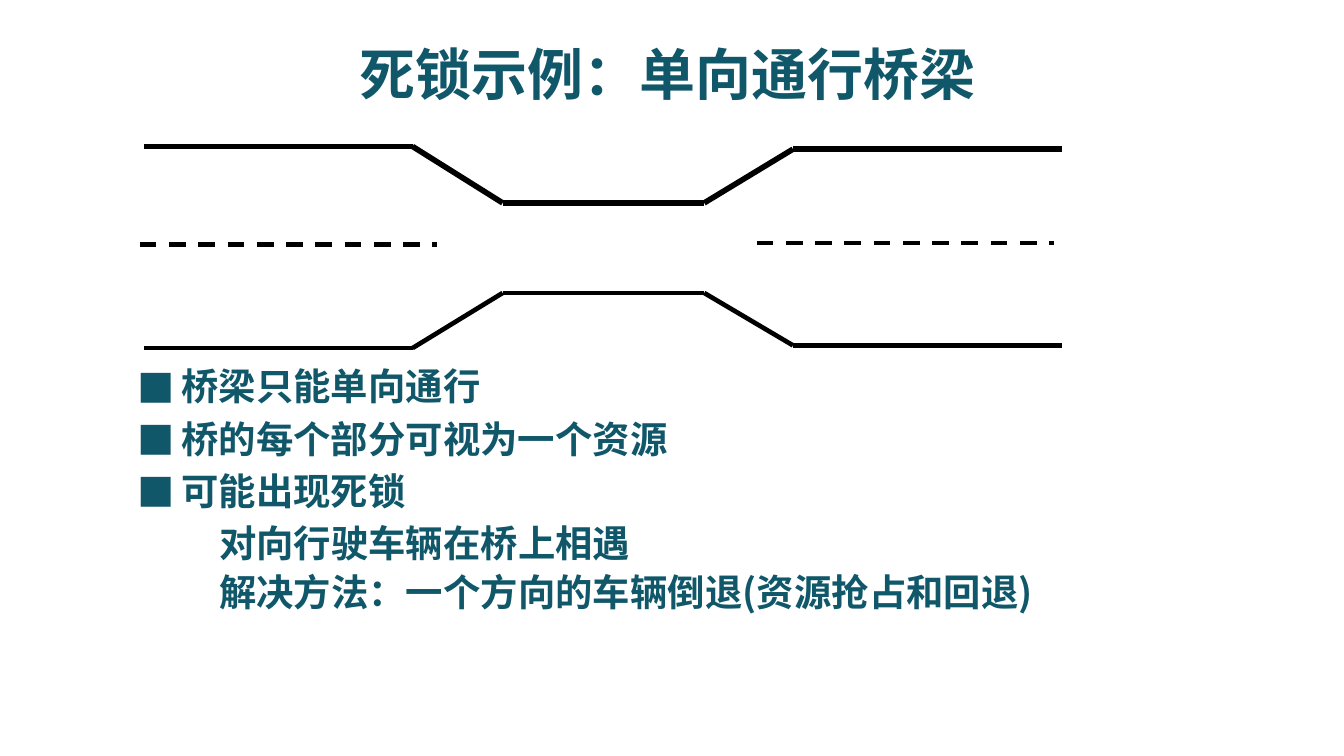
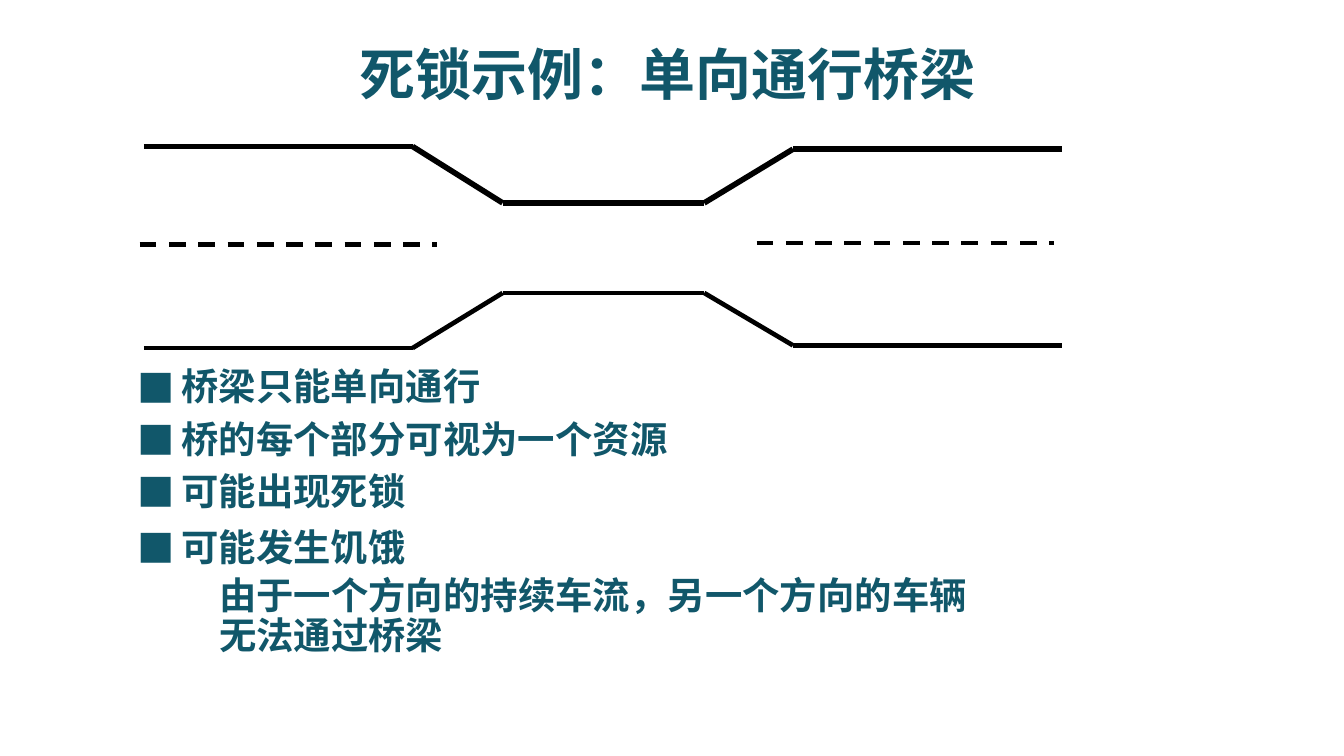
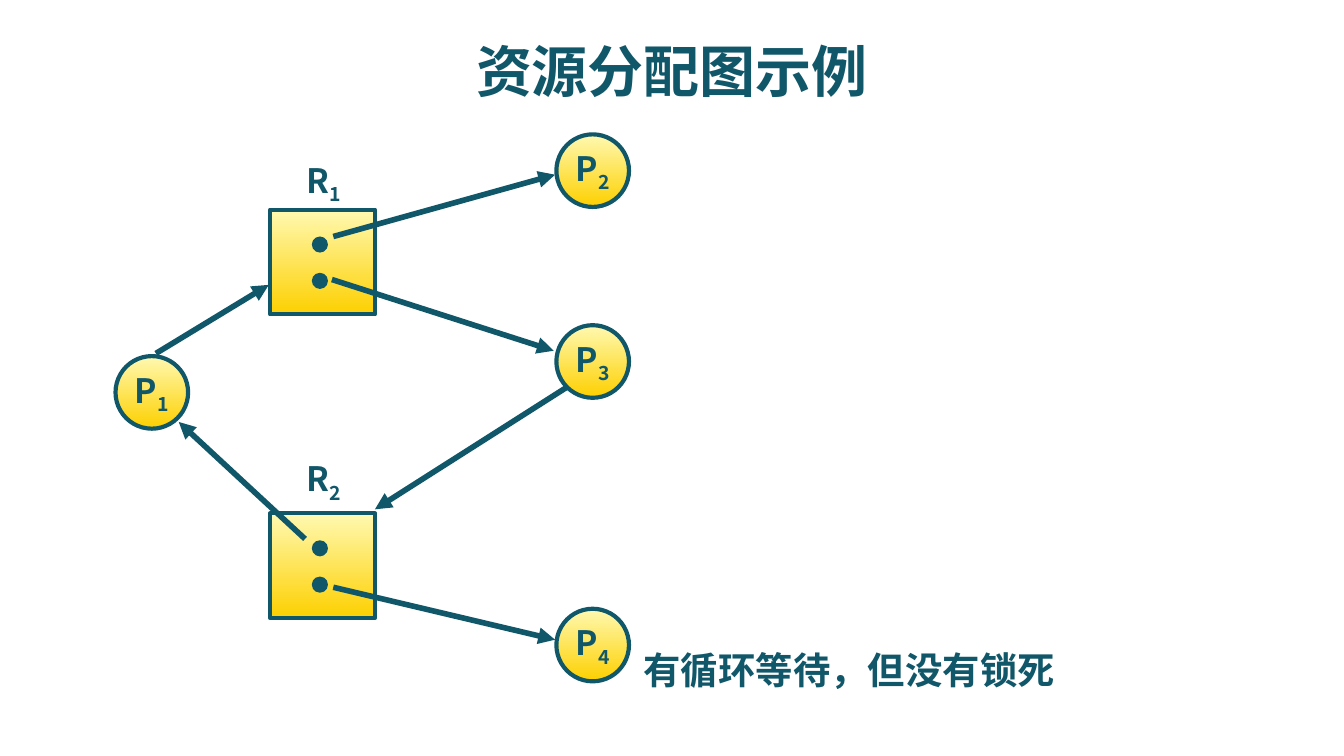
from itertools import pairwise

from lxml import etree
from pptx import Presentation
from pptx.dml.color import RGBColor
from pptx.enum.dml import MSO_LINE
from pptx.enum.shapes import MSO_CONNECTOR, MSO_SHAPE
from pptx.enum.text import MSO_ANCHOR, MSO_AUTO_SIZE, PP_ALIGN
from pptx.oxml.ns import qn
from pptx.util import Inches, Pt

TEAL = RGBColor(0x11, 0x57, 0x6A)
BLACK = RGBColor(0, 0, 0)
CREAM = RGBColor(0xFF, 0xF9, 0xB1)
GOLD = RGBColor(0xFD, 0xD0, 0x00)
FONT, BULLET_FONT = "Noto Sans CJK SC", "Noto Sans CJK JP"

SLIDE_W = Inches(10)
SLIDE_H = SLIDE_W * 9 // 16
TITLE_AND_BODY, TITLE_ONLY = 1, 5
CIRCLE, BOX, DOT = 0.54, 0.78, 0.12

# Frame settings shared by every text
FRAME = dict(margin_left=0, margin_right=0, margin_top=0, margin_bottom=0,
             auto_size=MSO_AUTO_SIZE.NONE)

# Road edges and centre lines of the one-way bridge
ROAD_EDGES = [
    (3, [(1.07, 1.09), (3.07, 1.09), (3.74, 1.51),
         (5.24, 1.51), (5.9, 1.11), (7.9, 1.11)]),
    (2.5, [(1.07, 2.59), (3.07, 2.59), (3.74, 2.18),
           (5.24, 2.18), (5.9, 2.57), (7.9, 2.57)]),
]
LANE_MARKS = [((1.04, 1.82), (3.25, 1.82)), ((5.63, 1.81), (7.84, 1.81))]

# Bullets as (text, level, space before in points)
BRIDGE_FACTS = [("桥梁只能单向通行", 0, 6.5),
                ("桥的每个部分可视为一个资源", 0, 6.5),
                ("可能出现死锁", 0, 6.5)]
DEADLOCK = [("对向行驶车辆在桥上相遇", 1, 6.5),
            ("解决方法：一个方向的车辆倒退(资源抢占和回退)", 1, 4.5)]
STARVATION = [("可能发生饥饿", 0, 8.5),
              ("由于一个方向的持续车流，另一个方向的车辆无法通过桥梁", 1, 4.5)]

# Resource allocation graph; resources also hold the top of their label
PROCESSES = [("1", 0.86, 2.65), ("2", 4.14, 1), ("3", 4.14, 2.42), ("4", 4.14, 4.53)]
RESOURCES = [("1", 2.01, 1.56, 1.16), ("2", 2.01, 3.82, 3.38)]
EDGES = [((2.48, 1.76), (4.13, 1.3)), ((2.47, 2.08), (4.12, 2.61)),
         ((1.16, 2.63), (2, 2.12)), ((2.27, 4.01), (1.33, 3.14)),
         ((4.22, 2.88), (2.79, 3.79)), ((2.48, 4.37), (4.13, 4.76))]


def set_all(obj, values):
    for name, value in values.items():
        setattr(obj, name, value)


def place(sp, x, y, w, h):
    set_all(sp, dict(left=Inches(x), top=Inches(y), width=Inches(w), height=Inches(h)))


def add_run(p, text, size, baseline=None):
    r = p.add_run()
    r.text = text
    set_all(r.font, dict(size=Pt(size), bold=True, name=FONT))
    r.font.color.rgb = TEAL
    rPr = r.font._element
    etree.SubElement(rPr, qn("a:ea")).set("typeface", FONT)
    if baseline:
        rPr.set("baseline", str(baseline))


def add_slide(prs, layout, title, x, y):
    s = prs.slides.add_slide(prs.slide_layouts[layout])
    sp = s.shapes.title
    place(sp, x, y, 9, 0.56)
    tf = sp.text_frame
    set_all(tf, dict(FRAME, margin_top=Inches(0.03),
                     vertical_anchor=MSO_ANCHOR.MIDDLE, word_wrap=True))
    p = tf.paragraphs[0]
    p.alignment = PP_ALIGN.CENTER
    add_run(p, title, 30)
    return s


def set_bullet(p, level):
    """Square marker on the first level, plain indent on the second."""
    pPr = p._p.get_or_add_pPr()
    margin, indent = [(0.33, -0.33), (0.61, 0)][level]
    pPr.set("marL", str(Inches(margin)))
    pPr.set("indent", str(Inches(indent)))
    if level:
        etree.SubElement(pPr, qn("a:buNone"))
    else:
        etree.SubElement(pPr, qn("a:buFont")).set("typeface", BULLET_FONT)
        etree.SubElement(pPr, qn("a:buChar")).set("char", "■")


def fill_body(s, items, width):
    sp = s.placeholders[1]
    place(sp, 1.02, 2.74, width, 2.2)
    tf = sp.text_frame
    set_all(tf, dict(FRAME, vertical_anchor=MSO_ANCHOR.TOP, word_wrap=True))
    for i, (text, level, gap) in enumerate(items):
        p = tf.add_paragraph() if i else tf.paragraphs[0]
        set_all(p, dict(level=level, line_spacing=Pt(21.5),
                        space_before=Pt(gap), space_after=Pt(0)))
        set_bullet(p, level)
        add_run(p, text, 20)


def add_line(s, start, end, color, width, dash=None, arrow=False):
    ends = [Inches(v) for v in (*start, *end)]
    cx = s.shapes.add_connector(MSO_CONNECTOR.STRAIGHT, *ends)
    cx.line.color.rgb = color
    set_all(cx.line, dict(width=Pt(width), dash_style=dash))
    if arrow:
        etree.SubElement(cx.line._get_or_add_ln(), qn("a:tailEnd")).set("type", "triangle")
    etree.SubElement(cx._element.spPr, qn("a:effectLst"))


def add_node(s, kind, x, y, size):
    """Outlined shape with a cream to gold gradient."""
    sp = s.shapes.add_shape(kind, *[Inches(v) for v in (x, y, size, size)])
    sp.shadow.inherit = False
    sp.fill.gradient()
    sp.fill.gradient_angle = 270
    for stop, color in zip(sp.fill.gradient_stops, (CREAM, GOLD)):
        stop.color.rgb = color
    sp.line.color.rgb = TEAL
    sp.line.width = Pt(2.25)
    return sp


def add_dot(s, x, y):
    sp = s.shapes.add_shape(MSO_SHAPE.OVAL, *[Inches(v) for v in (x, y, DOT, DOT)])
    sp.shadow.inherit = False
    sp.fill.solid()
    sp.fill.fore_color.rgb = TEAL
    sp.line.fill.background()


def label(sp, letter, index):
    """Centred letter with a subscript index."""
    tf = sp.text_frame
    set_all(tf, dict(FRAME, vertical_anchor=MSO_ANCHOR.MIDDLE, word_wrap=False))
    p = tf.paragraphs[0]
    p.alignment = PP_ALIGN.CENTER
    add_run(p, letter, 18)
    add_run(p, index, 18, baseline=-25000)


def add_textbox(s, x, y, w, h):
    return s.shapes.add_textbox(*[Inches(v) for v in (x, y, w, h)])


def draw_bridge(s):
    for width, points in ROAD_EDGES:
        for start, end in pairwise(points):
            add_line(s, start, end, BLACK, width)
    for start, end in LANE_MARKS:
        add_line(s, start, end, BLACK, 2.25, dash=MSO_LINE.DASH)


def draw_graph(s):
    for index, x, y in PROCESSES:
        label(add_node(s, MSO_SHAPE.OVAL, x, y, CIRCLE), "P", index)
    for index, x, y, label_y in RESOURCES:
        add_node(s, MSO_SHAPE.RECTANGLE, x, y, BOX)
        label(add_textbox(s, x + 0.16, label_y, 0.48, 0.4), "R", index)
        for dy in (0.2, 0.47):
            add_dot(s, x + 0.31, y + dy)
    for start, end in EDGES:
        add_line(s, start, end, TEAL, 3, arrow=True)


def add_caption(s, text, x, y):
    tf = add_textbox(s, x, y, 3.49, 0.47).text_frame
    set_all(tf, dict(FRAME, margin_left=Inches(0.1), margin_top=Inches(0.05),
                     word_wrap=True))
    add_run(tf.paragraphs[0], text, 20)


def main():
    prs = Presentation()
    set_all(prs, dict(slide_width=SLIDE_W, slide_height=SLIDE_H))

    # Bridge slides: deadlock, then starvation
    for extra, width in ((DEADLOCK, 7.2), (STARVATION, 6.23)):
        s = add_slide(prs, TITLE_AND_BODY, "死锁示例：单向通行桥梁", 0.47, 0.25)
        fill_body(s, BRIDGE_FACTS + extra, width)
        draw_bridge(s)

    # Resource allocation graph
    s = add_slide(prs, TITLE_ONLY, "资源分配图示例", 0.5, 0.23)
    draw_graph(s)
    add_caption(s, "有循环等待，但没有锁死", 4.69, 4.77)

    prs.save("out.pptx")


main()
